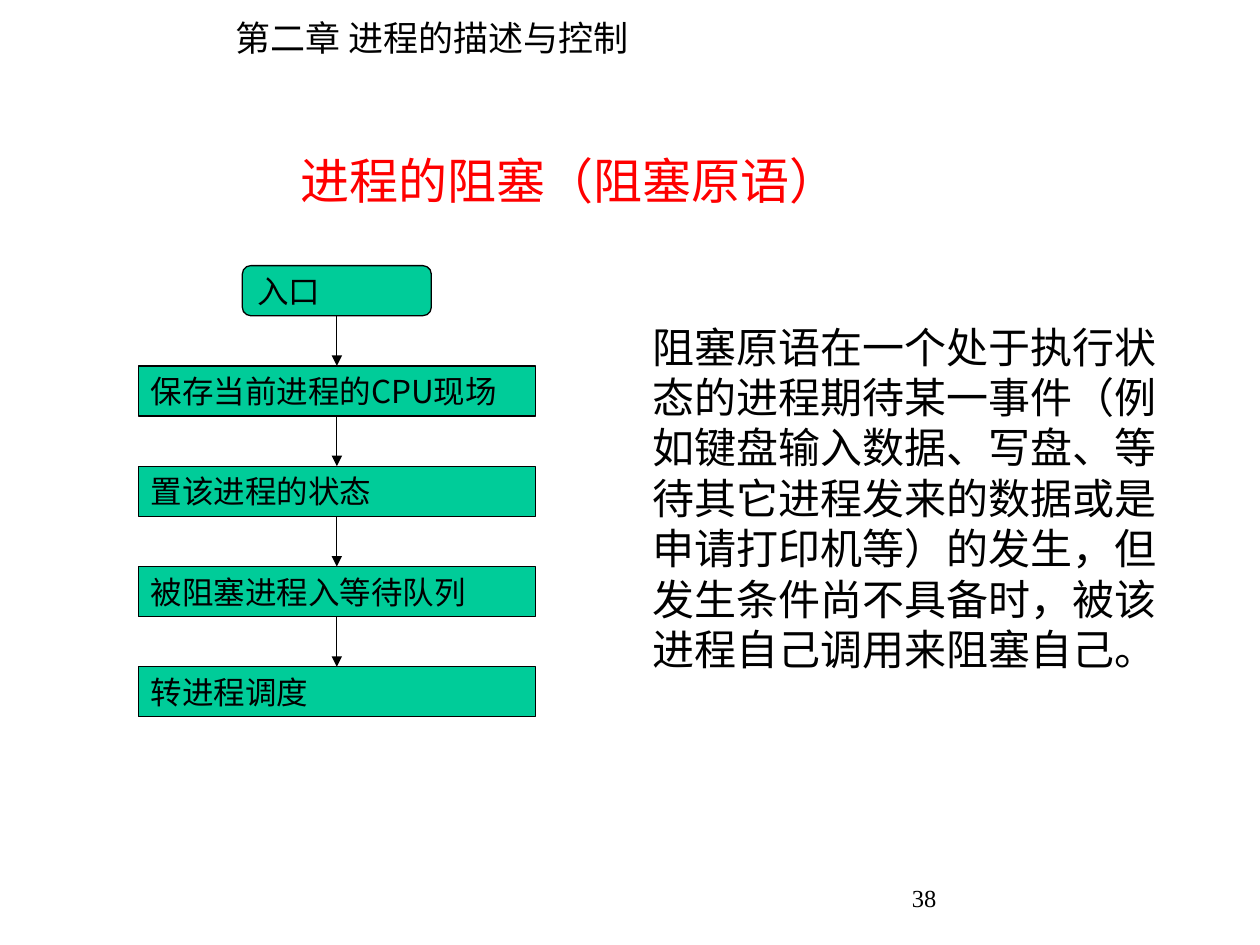
"""Builds the slide on the process blocking primitive, with its flow chart."""
from lxml import etree
from pptx import Presentation
from pptx.dml.color import RGBColor
from pptx.enum.shapes import MSO_CONNECTOR, MSO_SHAPE
from pptx.enum.text import MSO_ANCHOR, PP_ALIGN
from pptx.oxml.ns import qn
from pptx.util import Pt

ENTRY_SHAPE = MSO_SHAPE.FLOWCHART_ALTERNATE_PROCESS
STEP_SHAPE = MSO_SHAPE.FLOWCHART_PROCESS
STRAIGHT = MSO_CONNECTOR.STRAIGHT
MIDDLE, TOP = MSO_ANCHOR.MIDDLE, MSO_ANCHOR.TOP
LEFT, CENTER = PP_ALIGN.LEFT, PP_ALIGN.CENTER

CHAPTER = "第二章 进程的描述与控制"
TITLE = "进程的阻塞（阻塞原语）"
PAGE_NUMBER = "38"
STEPS = [
    ("入口", ENTRY_SHAPE, 108, "Times New Roman"),
    ("保存当前进程的CPU现场", STEP_SHAPE, 227, "Noto Sans CJK SC"),
    ("置该进程的状态", STEP_SHAPE, 227, "Times New Roman"),
    ("被阻塞进程入等待队列", STEP_SHAPE, 227, "Times New Roman"),
    ("转进程调度", STEP_SHAPE, 227, "Times New Roman"),
]
EXPLANATION = (
    "阻塞原语在一个处于执行状态的进程期待某一事件（例如键盘输入数据、写盘、"
    "等待其它进程发来的数据或是申请打印机等）的发生，但发生条件尚不具备时，"
    "被该进程自己调用来阻塞自己。"
)

CHINESE_FONT, LATIN_FONT = "Noto Sans CJK SC", "Times New Roman"
BLACK, RED, GREEN = "000000", "FF0000", "00CC99"
FLOW_CENTER, FLOW_TOP, STEP_HEIGHT, STEP_PITCH = 192.5, 151.8, 28.6, 57.3
LINE_WIDTH = 0.75


def color(hex_code):
    """Return the colour for a hex string."""
    return RGBColor.from_string(hex_code)


def write(shape, text, size, font=LATIN_FONT, hex_code=BLACK, align=LEFT, anchor=TOP, wrap=True):
    """Put one formatted paragraph into a shape and return it."""
    frame = shape.text_frame
    frame.text = text
    frame.word_wrap = wrap
    frame.vertical_anchor = anchor
    paragraph = frame.paragraphs[0]
    paragraph.alignment = align
    for run in paragraph.runs:
        run.font.size = Pt(size)
        run.font.name = font
        run.font.color.rgb = color(hex_code)
        east_asian = etree.Element(qn("a:ea"), typeface=CHINESE_FONT)
        run.font._element.find(qn("a:latin")).addnext(east_asian)
    return paragraph


def add_text(slide, box, text, size, **style):
    """Add a text box and return its paragraph."""
    return write(slide.shapes.add_textbox(*map(Pt, box)), text, size, **style)


def add_step(slide, row, text, outline, width, font):
    """Add one step of the flow chart."""
    left, top = FLOW_CENTER - width / 2, FLOW_TOP + row * STEP_PITCH
    step = slide.shapes.add_shape(outline, Pt(left), Pt(top), Pt(width), Pt(STEP_HEIGHT))
    step.shadow.inherit = False
    step.fill.solid()
    step.fill.fore_color.rgb = color(GREEN)
    step.line.color.rgb = color(BLACK)
    step.line.width = Pt(LINE_WIDTH)
    write(step, text, 18, font=font, anchor=MIDDLE)
    return step


def add_arrow(slide, upper, lower):
    """Join the bottom of one step to the top of the next."""
    arrow = slide.shapes.add_connector(STRAIGHT, 0, 0, 0, 0)
    arrow.begin_connect(upper, 2)
    arrow.end_connect(lower, 0)
    arrow.line.color.rgb = color(BLACK)
    arrow.line.width = Pt(LINE_WIDTH)
    etree.SubElement(arrow.line._get_or_add_ln(), qn("a:tailEnd"), type="triangle")
    etree.SubElement(arrow._element.spPr, qn("a:effectLst"))


def main():
    """Build and save the slide."""
    deck = Presentation()
    deck.slide_width, deck.slide_height = Pt(720), Pt(540)
    slide = deck.slides.add_slide(deck.slide_layouts[5])

    add_text(slide, (127.4, 5.8, 243.4, 31.7), CHAPTER, 20, font=CHINESE_FONT, wrap=False)
    add_text(slide, (514, 501, 150, 36), PAGE_NUMBER, 14)

    title = slide.shapes.title
    title.left, title.top, title.width, title.height = map(Pt, (19.4, 82.8, 612, 40.3))
    write(title, TITLE, 28, hex_code=RED, align=CENTER, anchor=MIDDLE)

    steps = [add_step(slide, row, *step) for row, step in enumerate(STEPS)]
    for upper, lower in zip(steps, steps[1:]):
        add_arrow(slide, upper, lower)

    explanation = add_text(slide, (365.8, 180, 306, 208.8), EXPLANATION, 24)
    explanation.line_spacing = Pt(28.8)

    deck.save("out.pptx")


if __name__ == "__main__":
    main()
